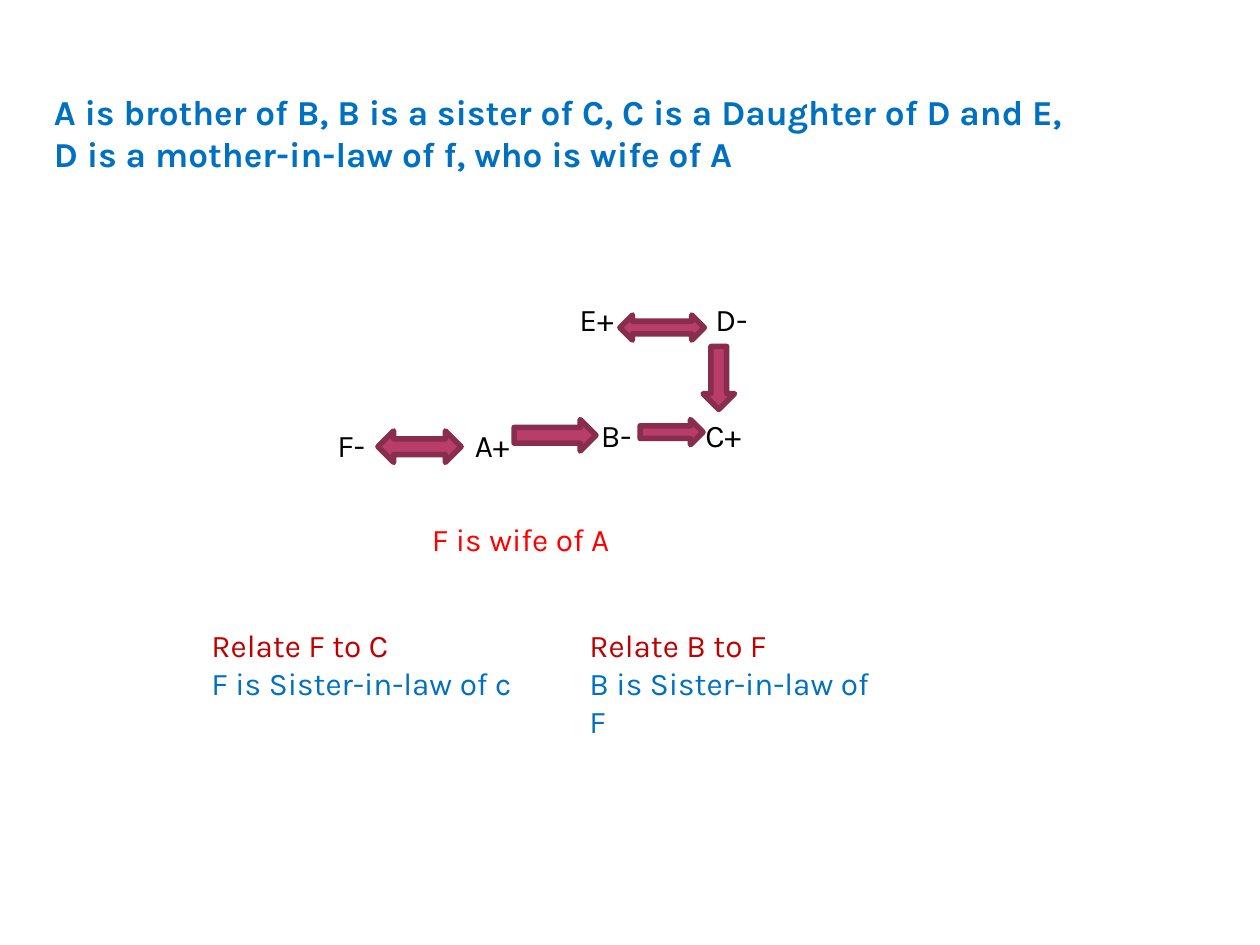
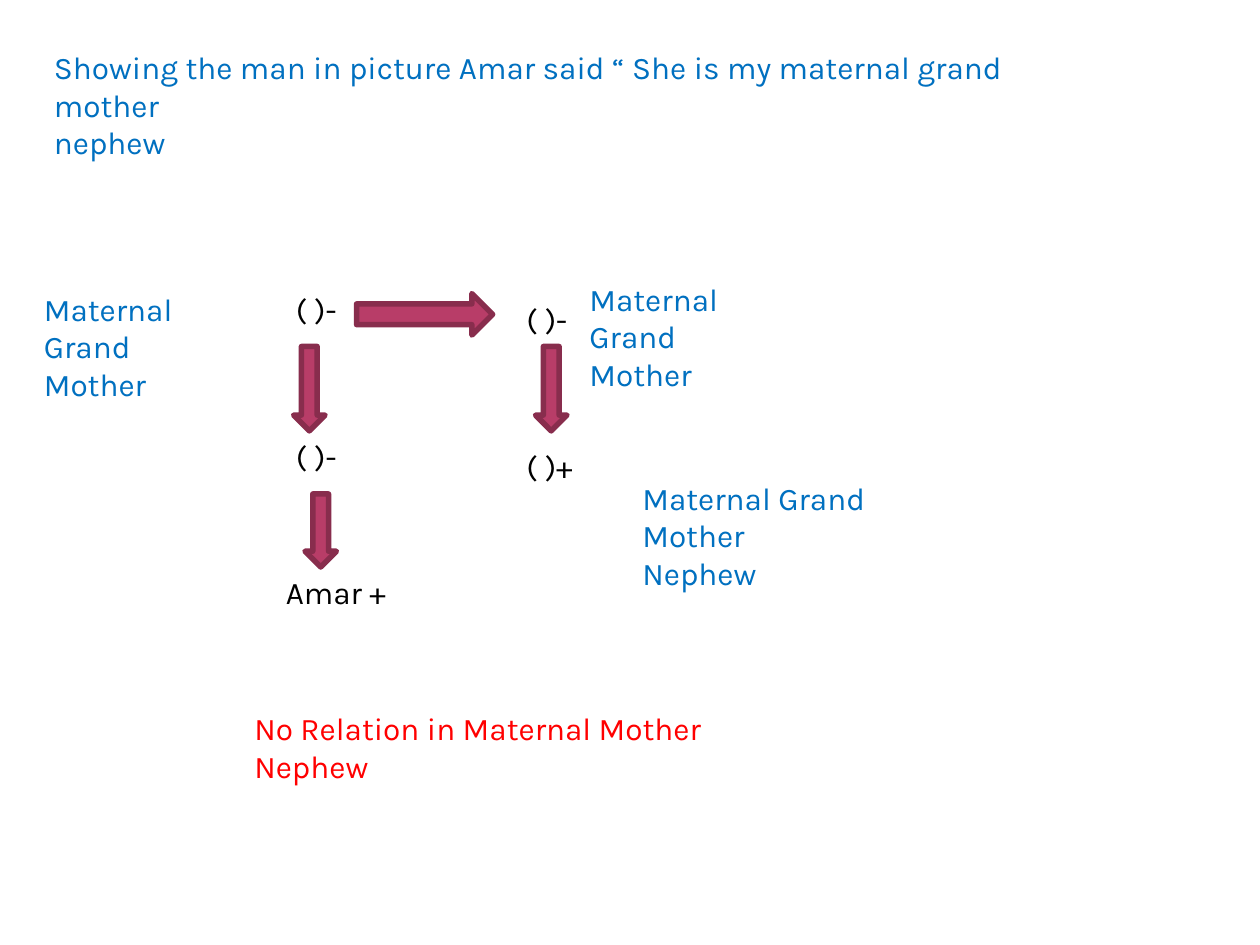
from pptx import Presentation
from pptx.dml.color import RGBColor
from pptx.enum.shapes import MSO_SHAPE
from pptx.util import Inches, Pt

FONT = "Karla"
BLUE, RED, DARK, BLACK = "0070C0", "FF0000", "C00000", "000000"
ROSE, PLUM = "B83D68", "882D4D"
BOTH = MSO_SHAPE.LEFT_RIGHT_ARROW
RIGHT = MSO_SHAPE.RIGHT_ARROW
DOWN = MSO_SHAPE.DOWN_ARROW


def paint(target, color):
    target.rgb = RGBColor.from_string(color)


def add_text(slide, x, y, wide, lines, size=18, bold=False, wrap=True):
    high = 0.1 + len(lines) * size / 60
    box = slide.shapes.add_textbox(*map(Inches, (x, y, wide, high)))
    frame = box.text_frame
    frame.word_wrap = wrap
    for index, (words, color) in enumerate(lines):
        para = frame.add_paragraph() if index else frame.paragraphs[0]
        run = para.add_run()
        run.text = words
        run.font.name = FONT
        run.font.size = Pt(size)
        run.font.bold = bold
        paint(run.font.color, color)


def add_label(slide, words, x, y, wide=0.5):
    add_text(slide, x, y, wide, [(words, BLACK)], wrap=False)


def add_arrow(slide, kind, x, y, wide, high):
    arrow = slide.shapes.add_shape(kind, *map(Inches, (x, y, wide, high)))
    arrow.shadow.inherit = False
    arrow.fill.solid()
    paint(arrow.fill.fore_color, ROSE)
    paint(arrow.line.color, PLUM)
    arrow.line.width = Pt(3.15)


def add_answer(slide, x, ask, reply):
    add_text(slide, x, 4.92, 2.6, [(ask, DARK), (reply, BLUE)])


def build_family(slide):
    add_text(slide, 0.33, 0.67, 8.29, [
        ("A is brother of B, B is a sister of C, C is a Daughter of D and E,", BLUE),
        ("D is a mother-in-law of f, who is wife of A", BLUE),
    ], size=20, bold=True)
    for words, x, y, wide in [
        ("E+", 4.5, 2.33, 0.47), ("D-", 5.58, 2.33, 0.45),
        ("C+", 5.5, 3.25, 0.49), ("B-", 4.67, 3.25, 0.44),
        ("A+", 3.67, 3.33, 0.48), ("F-", 2.58, 3.33, 0.43),
    ]:
        add_label(slide, words, x, y, wide)
    for spot in [
        (BOTH, 4.92, 2.5, 0.67, 0.2), (DOWN, 5.58, 2.75, 0.25, 0.5),
        (RIGHT, 5.08, 3.33, 0.5, 0.2), (RIGHT, 4.08, 3.33, 0.65, 0.25),
        (BOTH, 3, 3.42, 0.66, 0.25),
    ]:
        add_arrow(slide, *spot)
    add_text(slide, 3.33, 4.08, 1.66, [("F is wife of A", RED)])
    add_answer(slide, 1.58, "Relate F to C", "F is Sister-in-law of c")
    add_answer(slide, 4.58, "Relate B to F", "B is Sister-in-law of F")


def build_nephew(slide):
    add_text(slide, 0.33, 0.33, 8.53, [
        ("Showing the man in picture Amar said “ She is my maternal grand mother", BLUE),
        ("nephew", BLUE),
    ])
    for words, x, y, wide in [
        ("( )-", 2.25, 2.25, 0.56), ("( )-", 4.08, 2.33, 0.56),
        ("( )-", 2.25, 3.42, 0.56), ("( )+", 4.08, 3.5, 0.6),
        ("Amar +", 2.17, 4.5, 1),
    ]:
        add_label(slide, words, x, y, wide)
    add_arrow(slide, RIGHT, 2.83, 2.33, 1.08, 0.33)
    for x, y, high in [(4.25, 2.75, 0.67), (2.33, 2.75, 0.67), (2.42, 3.92, 0.58)]:
        add_arrow(slide, DOWN, x, y, 0.25, high)
    for x, y, wide, last in [
        (0.25, 2.25, 1.94, "Mother"), (4.58, 2.17, 1.94, "Mother"),
        (5, 3.75, 1.97, "Mother Nephew"),
    ]:
        add_text(slide, x, y, wide, [("Maternal Grand", BLUE), (last, BLUE)])
    add_text(slide, 1.92, 5.58, 4.5, [("No Relation in Maternal Mother Nephew", RED)])


def main():
    deck = Presentation()
    deck.slide_width, deck.slide_height = Inches(10), Inches(7.5)
    for build in (build_family, build_nephew):
        build(deck.slides.add_slide(deck.slide_layouts[6]))
    deck.save("out.pptx")


if __name__ == "__main__":
    main()
